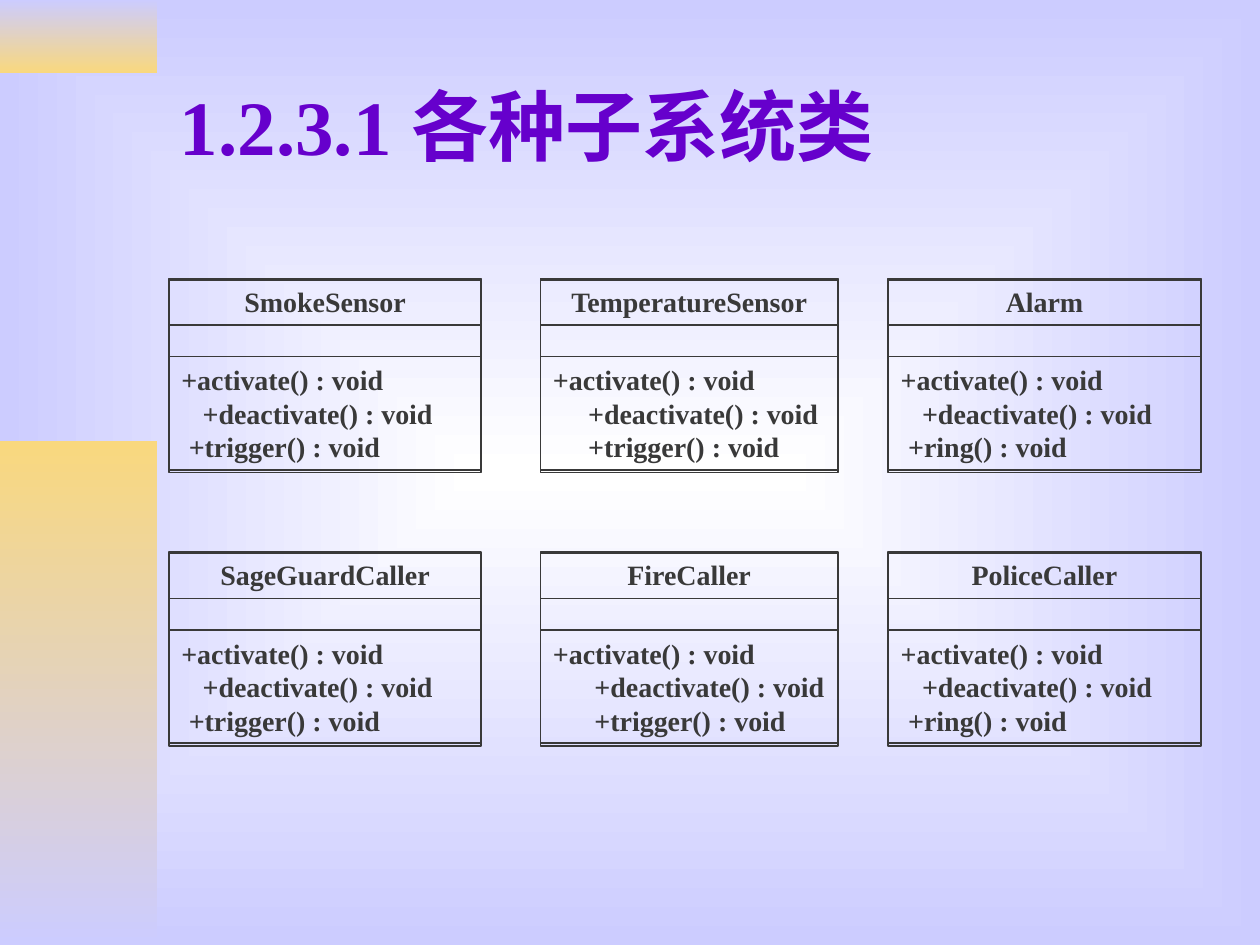
import pptx
import pptx.util
import pptx.dml.color
import pptx.enum.shapes
import pptx.enum.text
import lxml.etree

Inches, Pt = pptx.util.Inches, pptx.util.Pt
RGBColor = pptx.dml.color.RGBColor
Anchor = pptx.enum.text.MSO_ANCHOR
Align = pptx.enum.text.PP_ALIGN
AutoSize = pptx.enum.text.MSO_AUTO_SIZE
RECTANGLE = pptx.enum.shapes.MSO_SHAPE.RECTANGLE

WHITE = RGBColor(0xFF, 0xFF, 0xFF)
LAVENDER = RGBColor(0xCC, 0xCC, 0xFF)
GOLD = RGBColor(0xF9, 0xD8, 0x7E)
PURPLE = RGBColor(0x66, 0x00, 0xCC)
CHARCOAL = RGBColor(0x39, 0x39, 0x39)

FONT = "Times New Roman"
TITLE_FORMAT = {"name": FONT, "size": Pt(44), "bold": True}
CLASS_FORMAT = {"name": FONT, "size": Pt(16), "bold": True}

# Grid of class boxes: (left, width) of columns, tops of rows
COLUMNS = [(1.34, 2.48), (4.29, 2.36), (7.05, 2.48)]
ROWS = [2.21, 4.38]
NAME_HEIGHT, OPERATIONS_OFFSET, OPERATIONS_HEIGHT = 0.37, 0.62, 0.9
FRAME_HEIGHT = 1.53

# Each class: name, last operation, indents of its three operations
CLASSES = [
    [("SmokeSensor", "trigger", (0, 0.17, 0.06)),
     ("TemperatureSensor", "trigger", (0, 0.28, 0.28)),
     ("Alarm", "ring", (0, 0.17, 0.06))],
    [("SageGuardCaller", "trigger", (0, 0.17, 0.06)),
     ("FireCaller", "trigger", (0, 0.33, 0.33)),
     ("PoliceCaller", "ring", (0, 0.17, 0.06))],
]


def set_gradient(fill, start, end, angle=270):
    fill.gradient()
    fill.gradient_angle = angle
    for stop, position, color in zip(fill.gradient_stops, (0, 1), (start, end)):
        stop.position = position
        stop.color.rgb = color


def set_background(slide):
    """Gradient that spreads from the centre of the slide to its edges."""
    set_gradient(slide.background.fill, WHITE, LAVENDER)
    namespace = "{http://schemas.openxmlformats.org/drawingml/2006/main}"
    linear = next(slide.element.iter(namespace + "lin"))
    gradient = linear.getparent()
    gradient.remove(linear)
    rectangle = lxml.etree.SubElement(gradient, namespace + "path", path="rect")
    lxml.etree.SubElement(rectangle, namespace + "fillToRect",
                          dict.fromkeys("ltrb", "50000"))


def add_rectangle(shapes, left, top, width, height):
    shape = shapes.add_shape(RECTANGLE, Inches(left), Inches(top),
                             Inches(width), Inches(height))
    shape.shadow.inherit = False
    return shape


def add_band(slide, top, height, start, end):
    band = add_rectangle(slide.shapes, 0, top, 1.25, height)
    band.line.fill.background()
    set_gradient(band.fill, start, end)


def add_outline(shapes, left, top, width, height):
    outline = add_rectangle(shapes, left, top, width, height)
    outline.fill.background()
    outline.line.color.rgb = CHARCOAL
    outline.line.width = Pt(1)
    return outline


def write_lines(shape, lines, font_format, color, frame_format, paragraph_format):
    """Write (text, indent) pairs, one paragraph each."""
    frame = shape.text_frame
    for name, value in frame_format.items():
        setattr(frame, name, value)
    for index, (text, indent) in enumerate(lines):
        paragraph = frame.paragraphs[0] if index == 0 else frame.add_paragraph()
        for name, value in paragraph_format.items():
            setattr(paragraph, name, value)
        if indent:
            paragraph._p.get_or_add_pPr().set("marL", str(Inches(indent)))
        run = paragraph.add_run()
        run.text = text
        run.font.color.rgb = color
        for name, value in font_format.items():
            setattr(run.font, name, value)


def add_title(slide, text):
    box = slide.shapes.add_textbox(Inches(1.33), Inches(0.33),
                                   Inches(8.5), Inches(1.32))
    write_lines(box, [(text, 0)], TITLE_FORMAT, PURPLE,
                {"word_wrap": True, "vertical_anchor": Anchor.MIDDLE},
                {"alignment": Align.LEFT})


def add_class(slide, left, top, width, name, last_operation, indents):
    shapes = slide.shapes.add_group_shape().shapes
    frame_format = {"word_wrap": True, "vertical_anchor": Anchor.TOP,
                    "auto_size": AutoSize.SHAPE_TO_FIT_TEXT}
    spacing = {"line_spacing": Pt(19.2)}

    add_outline(shapes, left, top + 0.01, width, FRAME_HEIGHT)

    name_box = add_outline(shapes, left, top, width, NAME_HEIGHT)
    write_lines(name_box, [(name, 0)], CLASS_FORMAT, CHARCOAL, frame_format,
                {**spacing, "alignment": Align.CENTER})

    operations_box = add_outline(shapes, left, top + OPERATIONS_OFFSET,
                                 width, OPERATIONS_HEIGHT)
    operations = [f"+{operation}() : void"
                  for operation in ("activate", "deactivate", last_operation)]
    write_lines(operations_box, zip(operations, indents), CLASS_FORMAT, CHARCOAL,
                {**frame_format, "margin_right": Inches(0.05)},
                {**spacing, "alignment": Align.LEFT})


def main():
    presentation = pptx.Presentation()
    presentation.slide_width, presentation.slide_height = Inches(10), Inches(7.5)
    slide = presentation.slides.add_slide(presentation.slide_layouts[6])

    # Backdrop
    set_background(slide)
    add_band(slide, 0, 0.58, LAVENDER, GOLD)
    add_band(slide, 3.5, 4, GOLD, LAVENDER)

    add_title(slide, "1.2.3.1 各种子系统类")

    # Class diagrams
    for top, row in zip(ROWS, CLASSES):
        for (left, width), class_content in zip(COLUMNS, row):
            add_class(slide, left, top, width, *class_content)

    presentation.save("out.pptx")


if __name__ == "__main__":
    main()
